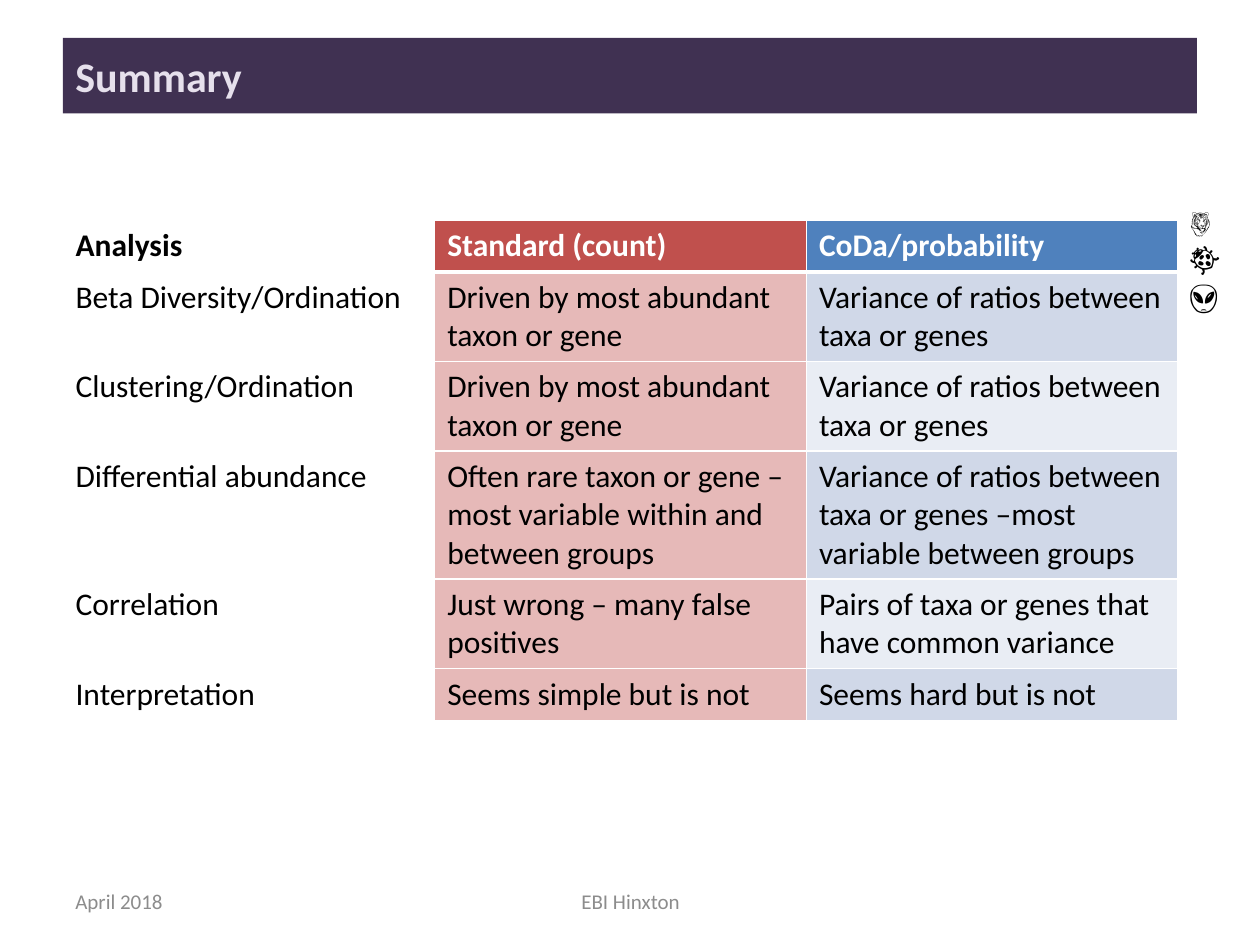
"""Build the summary slide comparing standard and compositional analyses."""
from lxml.etree import SubElement
from pptx import Presentation
from pptx.dml.color import RGBColor as Rgb
from pptx.enum.shapes import MSO_SHAPE as Shape
from pptx.enum.text import MSO_ANCHOR as Anchor, PP_ALIGN as Align
from pptx.oxml.ns import qn
from pptx.util import Inches, Pt

COLORS = {
    "white": "FFFFFF", "black": "000000", "gray": "8C8C8C",
    "banner": "403152", "title": "E6E0EC",
    "red": "C0504D", "pink": "E6B9B8",
    "blue": "4F81BD", "dark_band": "D0D8E8", "light_band": "E9EDF4",
}
ROWS = [
    ("Analysis", "Standard (count)", "CoDa/probability"),
    ("Beta Diversity/Ordination", "Driven by most abundant taxon or gene",
     "Variance of ratios between taxa or genes"),
    ("Clustering/Ordination", "Driven by most abundant taxon or gene",
     "Variance of ratios between taxa or genes"),
    ("Differential abundance",
     "Often rare taxon or gene – most variable within and between groups",
     "Variance of ratios between taxa or genes –most variable between groups"),
    ("Correlation", "Just wrong – many false positives",
     "Pairs of taxa or genes that have common variance"),
    ("Interpretation", "Seems simple but is not", "Seems hard but is not"),
]


def write(frame, lines, color, size, bold=False, align=Align.LEFT):
    frame.word_wrap = True
    for index, line in enumerate(lines):
        para = frame.add_paragraph() if index else frame.paragraphs[0]
        para.alignment = align
        span = para.add_run()
        span.text = line
        span.font.color.rgb = Rgb.from_string(COLORS[color])
        for name, value in {"name": "Calibri", "size": Pt(size), "bold": bold}.items():
            setattr(span.font, name, value)


def paint(target, color):
    target.fill.solid()
    target.fill.fore_color.rgb = Rgb.from_string(COLORS[color])


deck = Presentation()
deck.slide_width, deck.slide_height = Inches(10), Inches(7.5)
WIDTH, HEIGHT = deck.slide_width, deck.slide_height
MARGIN = int(WIDTH * 0.05)
page = deck.slides.add_slide(deck.slide_layouts[6])

banner = page.shapes.add_shape(
    Shape.RECTANGLE, MARGIN, int(HEIGHT * 0.04), WIDTH - 2 * MARGIN, int(HEIGHT * 0.08))
banner.shadow.inherit = False
banner.line.fill.background()
paint(banner, "banner")
banner.text_frame.vertical_anchor = Anchor.MIDDLE
write(banner.text_frame, ["Summary"], "title", 24, True)

COLUMN, ROW = Inches(2.95), Inches(0.41)
table = page.shapes.add_table(
    len(ROWS), 3, MARGIN, Inches(1.75), 3 * COLUMN, len(ROWS) * ROW).table
for row_index, texts in enumerate(ROWS):
    header = row_index == 0
    band = "dark_band" if row_index % 2 else "light_band"
    fills = ("white", "red", "blue") if header else ("white", "pink", band)
    for column_index, (text, fill) in enumerate(zip(texts, fills)):
        cell = table.cell(row_index, column_index)
        ink = "white" if header and column_index else "black"
        write(cell.text_frame, [text], ink, 18, header)
        weights = {"lnL": 1, "lnR": 1, "lnT": 3 if row_index == 1 else 1,
                   "lnB": 3 if header else 1}
        properties = cell._tc.get_or_add_tcPr()
        for edge, weight in weights.items():
            line = SubElement(properties, qn(f"a:{edge}"), w=str(Pt(weight)))
            solid = SubElement(line, qn("a:solidFill"))
            SubElement(solid, qn("a:srgbClr"), val=COLORS["white"])
        paint(cell, fill)

LABELS = [
    (["EBI Hinxton"], 3.42, 6.95, 3.17, 0.4, "gray", 12, Align.CENTER, Anchor.MIDDLE),
    (["🐯", "🐞", "👽"], 9.34, 1.55, 0.54, 1.01, "black", 18, Align.LEFT, Anchor.TOP),
    (["April 2018"], 0.5, 6.95, 2.33, 0.4, "gray", 12, Align.LEFT, Anchor.MIDDLE),
]
for lines, left, top, width, height, color, size, align, anchor in LABELS:
    box = page.shapes.add_textbox(*map(Inches, (left, top, width, height)))
    box.text_frame.vertical_anchor = anchor
    write(box.text_frame, lines, color, size, align=align)

deck.save("out.pptx")
